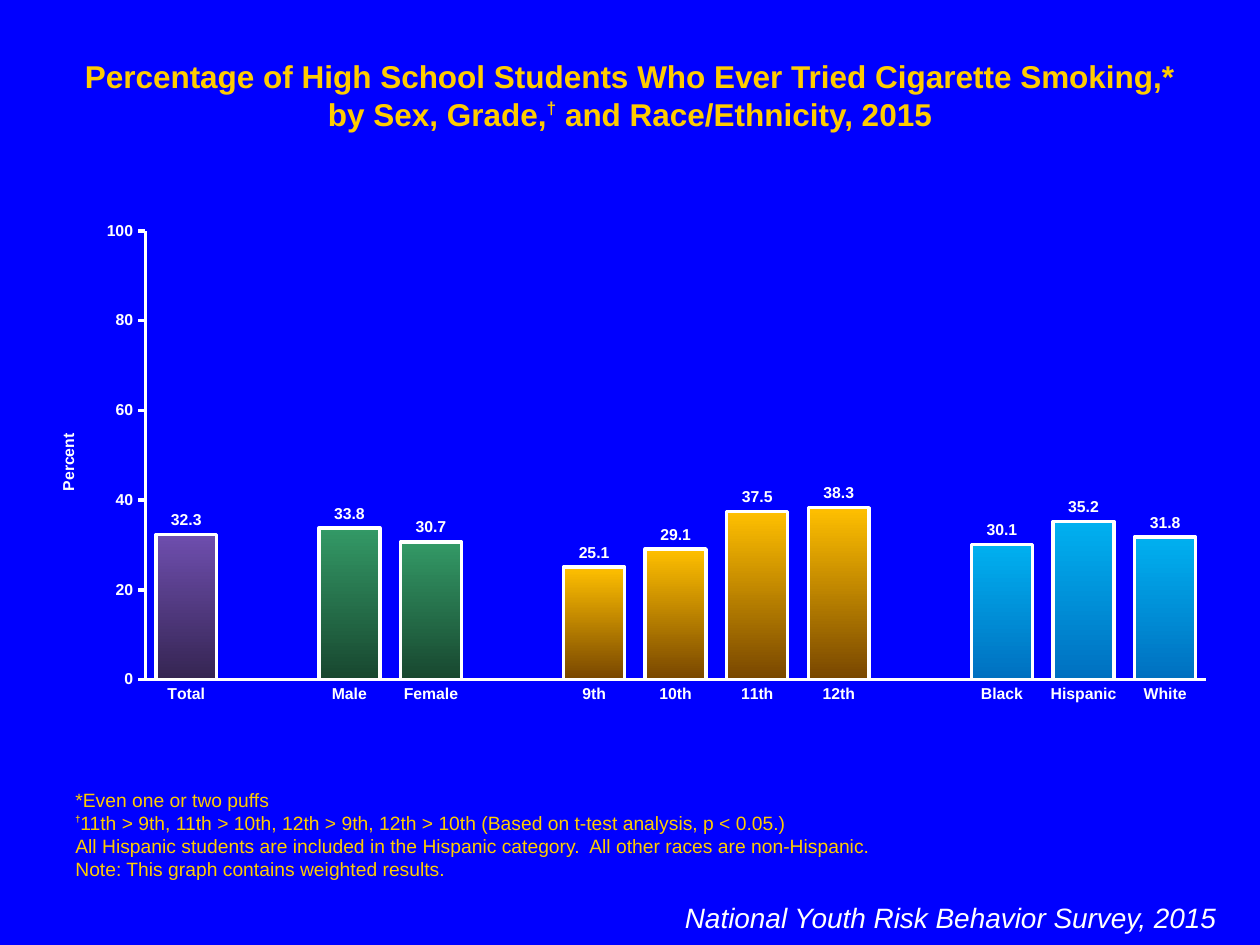
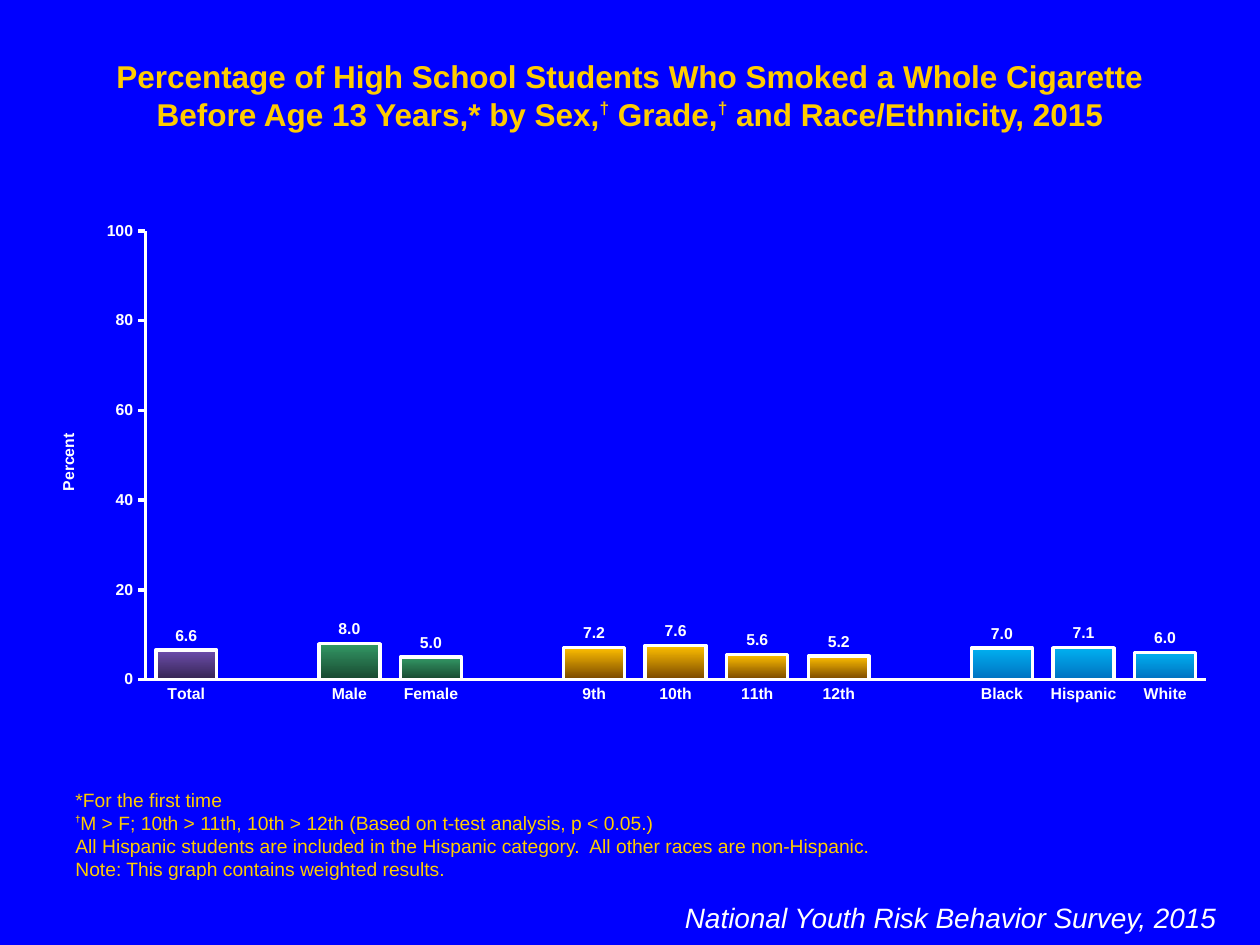
from lxml.etree import SubElement
from pptx import Presentation
from pptx.chart.data import CategoryChartData
from pptx.dml.color import RGBColor
from pptx.enum.chart import XL_CHART_TYPE, XL_LABEL_POSITION, XL_TICK_MARK
from pptx.enum.text import MSO_ANCHOR, PP_ALIGN
from pptx.oxml import parse_xml
from pptx.oxml.ns import nsdecls, qn
from pptx.util import Cm, Pt

BLUE = RGBColor(0x00, 0x00, 0xFF)
GOLD = RGBColor(0xFF, 0xCC, 0x00)
WHITE = RGBColor(0xFF, 0xFF, 0xFF)
PURPLES = RGBColor(0x6E, 0x4E, 0xAE), RGBColor(0x35, 0x25, 0x52)
GREENS = RGBColor(0x33, 0x99, 0x66), RGBColor(0x18, 0x47, 0x2F)
AMBERS = RGBColor(0xFF, 0xC0, 0x00), RGBColor(0x78, 0x46, 0x00)
SKIES = RGBColor(0x00, 0xB0, 0xF0), RGBColor(0x00, 0x70, 0xC0)

GROUPS = [
    (PURPLES, ["Total"]),
    (GREENS, ["Male", "Female"]),
    (AMBERS, ["9th", "10th", "11th", "12th"]),
    (SKIES, ["Black", "Hispanic", "White"]),
]
DAGGER = "†"
SURVEY = "National Youth Risk Behavior Survey, 2015"
SHARED_NOTES = [
    "All Hispanic students are included in the Hispanic category.  All other races are non-Hispanic.",
    "Note: This graph contains weighted results.",
]
SURVEY_SLIDES = [
    (
        "Percentage of High School Students Who Ever Tried Cigarette Smoking,* "
        "by Sex, Grade,† and Race/Ethnicity, 2015",
        ["*Even one or two puffs",
         "†11th > 9th, 11th > 10th, 12th > 9th, 12th > 10th (Based on t-test analysis, p < 0.05.)"],
        [[32.3], [33.8, 30.7], [25.1, 29.1, 37.5, 38.3], [30.1, 35.2, 31.8]],
    ),
    (
        "Percentage of High School Students Who Smoked a Whole Cigarette "
        "Before Age 13 Years,* by Sex,† Grade,† and Race/Ethnicity, 2015",
        ["*For the first time",
         "†M > F; 10th > 11th, 10th > 12th (Based on t-test analysis, p < 0.05.)"],
        [[6.6], [8.0, 5.0], [7.2, 7.6, 5.6, 5.2], [7.0, 7.1, 6.0]],
    ),
]


def apply(target, formats):
    """Set each format value as an attribute of the target."""
    for name, value in formats.items():
        setattr(target, name, value)


def with_gaps(groups):
    """Join groups into one list with an empty slot between neighbours."""
    joined = []
    for group in groups:
        joined += [None, *group] if joined else group
    return joined


def make_layout(**fractions):
    """Return a manual chart layout from fractions of the chart area."""
    layout = parse_xml(f"<c:layout {nsdecls('c')}><c:manualLayout/></c:layout>")
    for name, value in fractions.items():
        SubElement(layout[0], qn(f"c:{name}")).set("val", str(value))
    return layout


class SurveyDeck:
    """Builds survey slides in one shared style."""

    title_font = {"size": Pt(18), "bold": True}
    title_mark = {"size": Pt(17), "bold": True}
    note_font = {"size": Pt(11), "bold": False}
    note_mark = {"size": Pt(9), "bold": True}
    survey_font = {"size": Pt(16), "italic": True}
    chart_font = {"size": Pt(9), "bold": True}

    def __init__(self):
        """Start an empty deck with a blue master."""
        self.deck = Presentation()
        apply(self.deck, {"slide_width": Cm(25.4), "slide_height": Cm(19.05)})
        fill = self.deck.slide_master.background.fill
        fill.solid()
        fill.fore_color.rgb = BLUE
        self.page = None

    def add_page(self):
        """Open a new blank slide."""
        self.page = self.deck.slides.add_slide(self.deck.slide_layouts[6])

    def style_font(self, font, formats, color=WHITE):
        """Give a font the shared typeface, a colour and format values."""
        apply(font, {"name": "Arial", **formats})
        font.color.rgb = color

    def add_text(self, place, lines, formats, color, align=PP_ALIGN.LEFT,
                 anchor=MSO_ANCHOR.TOP, mark=None, raised=0):
        """Add a text box, raising every dagger above its line."""
        box = self.page.shapes.add_textbox(*map(Cm, place))
        apply(box.text_frame, {"word_wrap": True, "vertical_anchor": anchor})
        for index, line in enumerate(lines):
            para = box.text_frame.paragraphs[0] if index == 0 else box.text_frame.add_paragraph()
            para.alignment = align
            for piece in line.replace(DAGGER, f"|{DAGGER}|").split("|"):
                if not piece:
                    continue
                span = para.add_run()
                span.text = piece
                is_mark = piece == DAGGER
                self.style_font(span.font, mark if is_mark else formats, color)
                if is_mark:
                    span.font._element.set("baseline", str(raised * 1000))

    def add_title(self, text):
        """Add the centred gold title."""
        self.add_text((1.27, 1.02, 22.86, 1.73), [text], self.title_font, GOLD,
                      PP_ALIGN.CENTER, mark=self.title_mark, raised=40)

    def add_notes(self, lines):
        """Add the footnotes below the chart."""
        self.add_text((1.27, 15.77, 22.86, 2.11), lines, self.note_font, GOLD,
                      anchor=MSO_ANCHOR.BOTTOM, mark=self.note_mark, raised=50)

    def add_survey_name(self):
        """Add the survey name at the lower right."""
        self.add_text((10.8, 18.03, 13.97, 0.95), [SURVEY], self.survey_font, WHITE,
                      PP_ALIGN.RIGHT)

    def add_percent_chart(self, values):
        """Add the column chart of percentages by group."""
        data = CategoryChartData()
        data.categories = [name or "" for name in with_gaps([names for _, names in GROUPS])]
        data.add_series("Series 1", with_gaps(values))
        frame = self.page.shapes.add_chart(
            XL_CHART_TYPE.COLUMN_CLUSTERED, *map(Cm, (0.64, 4.29, 24.13, 10.11)), data)
        chart = frame.chart
        apply(chart, {"has_legend": False, "has_title": False})
        self.style_font(chart.font, {"size": Pt(18)})
        self.style_axes(chart)
        self.style_columns(chart.plots[0])
        area = chart._chartSpace.chart.plotArea
        for layout in area.findall(qn("c:layout")):
            area.remove(layout)
        area.insert(0, make_layout(layoutTarget="inner", xMode="edge", yMode="edge",
                                   x=0.095, y=0.036, w=0.886, h=0.895))

    def style_axes(self, chart):
        """Format both axes and name the value axis."""
        marks = {chart.category_axis: XL_TICK_MARK.NONE, chart.value_axis: XL_TICK_MARK.OUTSIDE}
        for axis, mark in marks.items():
            apply(axis, {"has_major_gridlines": False, "major_tick_mark": mark,
                         "minor_tick_mark": XL_TICK_MARK.NONE})
            self.style_font(axis.tick_labels.font, self.chart_font)
            axis.format.line.width = Pt(2)
            axis.format.line.color.rgb = WHITE
        value_axis = chart.value_axis
        apply(value_axis, {"minimum_scale": 0, "maximum_scale": 100, "major_unit": 20})
        apply(value_axis.tick_labels, {"number_format": "0", "number_format_is_linked": False})
        title = value_axis.axis_title
        para = title.text_frame.paragraphs[0]
        span = para.add_run()
        span.text = "Percent"
        self.style_font(span.font, self.chart_font)
        title._element.find(qn("c:tx")).addnext(
            make_layout(xMode="edge", yMode="edge", x=0.02, y=0.39))

    def style_columns(self, plot):
        """Colour the columns by group and label their values."""
        apply(plot, {"gap_width": 34, "overlap": 100, "vary_by_categories": False,
                     "has_data_labels": True})
        apply(plot.data_labels, {"show_value": True, "number_format": "#,##0.0",
                                 "number_format_is_linked": False,
                                 "position": XL_LABEL_POSITION.OUTSIDE_END})
        self.style_font(plot.data_labels.font, self.chart_font)
        shades = with_gaps([[pair] * len(names) for pair, names in GROUPS])
        for index, pair in enumerate(shades):
            if pair is None:
                continue
            column = plot.series[0].points[index].format
            column.fill.gradient()
            column.fill.gradient_angle = 270
            for stop, color in zip(column.fill.gradient_stops, pair):
                stop.color.rgb = color
            column.line.width = Pt(2)
            column.line.color.rgb = WHITE


def main():
    """Build the survey slides and save them."""
    survey = SurveyDeck()
    for title, notes, values in SURVEY_SLIDES:
        survey.add_page()
        survey.add_title(title)
        survey.add_notes(notes + SHARED_NOTES)
        survey.add_survey_name()
        survey.add_percent_chart(values)
    survey.deck.save("out.pptx")


if __name__ == "__main__":
    main()
